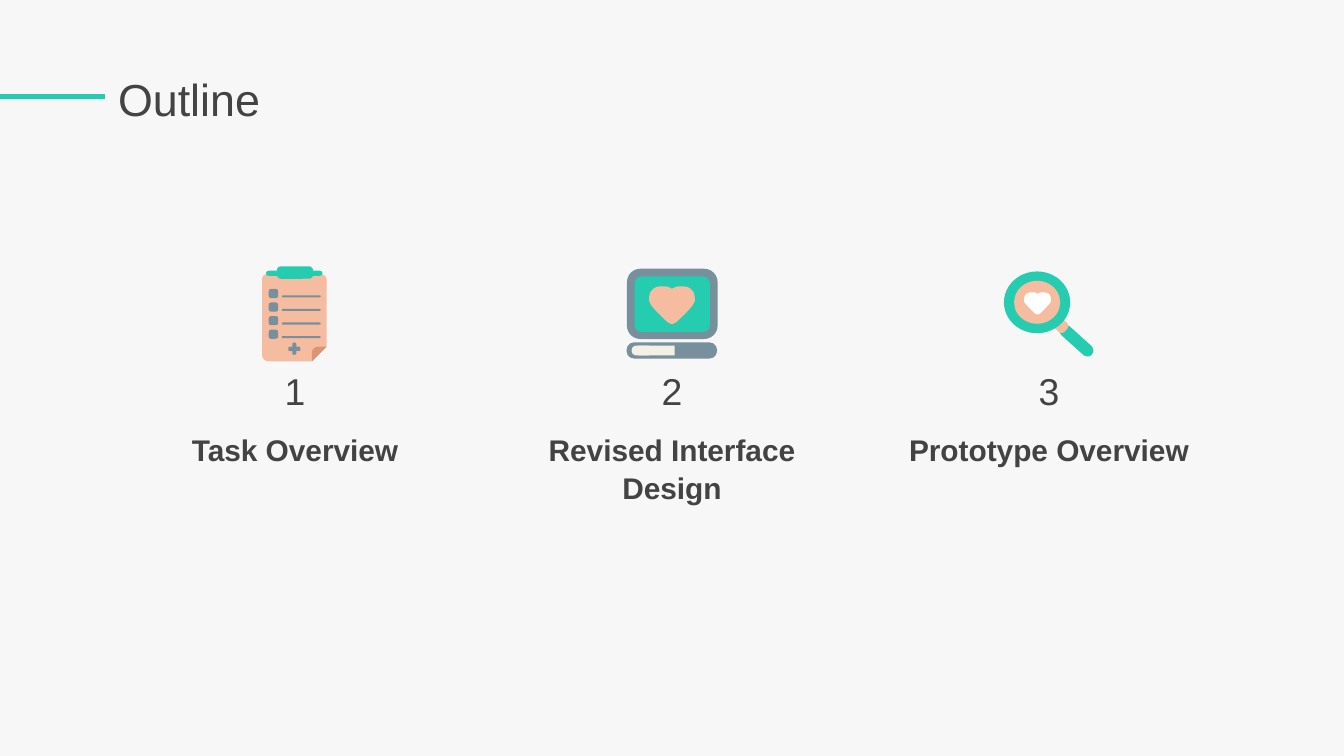
from functools import partial

from pptx import Presentation
from pptx.dml.color import RGBColor
from pptx.enum import shapes, text
from pptx.util import Inches, Pt

COLORS = {
    "background": "F7F7F7", "ink": "434343", "teal": "25CCB0", "slate": "78909C",
    "peach": "F6BC9F", "fold": "DC9571", "cream": "F4F0E5", "white": "FFFFFF",
}
FONT = "Arial"
KIND = shapes.MSO_SHAPE
COLUMN_LEFT, COLUMN_PITCH, COLUMN_WIDTH = 0.095, 0.2805, 0.249  # shares of width
ICON_UNITS = 70  # rows and columns of the square icon grid

# Right half of a heart in a unit box, as cubic Bezier segments from the notch
HEART_START = (0.5, 0.07)
HEART = [
    (0.56, 0.02, 0.62, 0, 0.7, 0),
    (0.85, 0, 0.9, 0.05, 0.94, 0.11),
    (1, 0.18, 1, 0.28, 1, 0.39),
    (0.97, 0.53, 0.8, 0.71, 0.68, 0.86),
    (0.6, 0.95, 0.56, 1, 0.5, 1),
]


def rgb(name):
    return RGBColor.from_string(COLORS[name])


def paint(sp, color):
    sp.shadow.inherit = False
    sp.fill.solid()
    sp.fill.fore_color.rgb = rgb(color)
    sp.line.fill.background()


def curve_points(start, segments, steps=8):
    """Flatten lines (2 numbers) and cubic Bezier segments (6 numbers)."""
    points = [start]
    for seg in segments:
        if len(seg) == 2:
            points.append(seg)
            continue
        (ax, ay), (bx, by, cx, cy, dx, dy) = points[-1], seg
        for i in range(1, steps + 1):
            t = i / steps
            w = ((1 - t) ** 3, 3 * t * (1 - t) ** 2, 3 * t * t * (1 - t), t ** 3)
            points.append((w[0] * ax + w[1] * bx + w[2] * cx + w[3] * dx,
                           w[0] * ay + w[1] * by + w[2] * cy + w[3] * dy))
    return points


class IconGrid:
    """A group drawn in the units of a square grid."""

    def __init__(self, slide, left, top, size):
        self.shapes = slide.shapes.add_group_shape().shapes
        self.left, self.top, self.unit = left, top, size / ICON_UNITS

    def point(self, x, y):
        return round(self.left + x * self.unit), round(self.top + y * self.unit)

    def preset(self, kind, x, y, w, h, color, radius=None, angle=0):
        sp = self.shapes.add_shape(kind, *self.point(x, y),
                                   round(w * self.unit), round(h * self.unit))
        if radius is not None:
            sp.adjustments[0] = radius / min(w, h)
        sp.rotation = angle
        paint(sp, color)

    def rounded(self, x, y, w, h, color, radius, angle=0):
        self.preset(KIND.ROUNDED_RECTANGLE, x, y, w, h, color, radius, angle)

    def outline(self, points, color):
        first, *rest = [self.point(*p) for p in points]
        builder = self.shapes.build_freeform(*first)
        builder.add_line_segments(rest, close=True)
        paint(builder.convert_to_shape(), color)

    def heart(self, x, y, w, h, color):
        half = curve_points(HEART_START, HEART)
        whole = half + [(1 - px, py) for px, py in reversed(half[1:-1])]
        self.outline([(x + px * w, y + py * h) for px, py in whole], color)


def clipboard_icon(grid):
    page = [(54, 6), (56.5, 6, 58.5, 8, 58.5, 10), (58.5, 60), (47.5, 71), (15.5, 71),
            (12.5, 71, 10.5, 68.5, 10.5, 66), (10.5, 10), (10.5, 8, 12, 6, 14, 6)]
    grid.outline(curve_points((14, 6), page), "peach")
    grid.outline(curve_points((47.5, 71), [(47.5, 65), (47.5, 62, 49.5, 60, 52.5, 60),
                                           (58.5, 60)]), "fold")
    grid.rounded(13.5, 3.5, 42, 3.8, "teal", 1.9)
    grid.rounded(21.5, 0.2, 27, 9.3, "teal", 3)
    for row in range(4):
        y = 17 + 10.1 * row
        grid.rounded(15.5, y, 7, 6.8, "slate", 1.7)
        grid.rounded(25.2, y + 4.8, 29, 1.5, "slate", 0.75)
    grid.rounded(30, 60, 9, 3.2, "slate", 1)
    grid.rounded(33, 57, 3, 9, "slate", 1)


def computer_icon(grid):
    grid.rounded(1.5, 2, 67.5, 52.3, "slate", 10)
    grid.rounded(7.2, 7.7, 56, 41.3, "teal", 5)
    grid.heart(18, 15, 34, 28, "peach")
    grid.rounded(1.2, 56.8, 67.3, 12, "slate", 5.5)
    grid.rounded(5, 59.2, 16, 7.3, "cream", 3.5)
    grid.preset(KIND.RECTANGLE, 10, 59.2, 27, 7.3, "cream")


def magnifier_icon(grid):
    grid.rounded(40, 51, 31, 9, "teal", 4.5, angle=42)
    grid.rounded(35.5, 38.5, 14, 9, "peach", 3, angle=42)
    grid.preset(KIND.OVAL, 1.5, 4, 49.3, 46, "teal")
    grid.preset(KIND.OVAL, 9, 11, 34.3, 32, "peach")
    grid.heart(16.5, 19.5, 20, 16.5, "white")


def add_text(slide, box, content, size, bold=False, align=text.PP_ALIGN.CENTER,
             anchor=text.MSO_ANCHOR.TOP):
    tf = slide.shapes.add_textbox(*map(round, box)).text_frame
    tf.word_wrap = True
    tf.vertical_anchor = anchor
    tf.margin_left = tf.margin_right = tf.margin_top = tf.margin_bottom = Inches(0.1)
    tf.text = content
    p = tf.paragraphs[0]
    p.alignment = align
    p.line_spacing = 1.05
    font = p.runs[0].font
    font.name, font.size, font.bold = FONT, Pt(size), bold
    font.color.rgb = rgb("ink")


def add_header(slide, left, top, width, height, title):
    """Accent bar from the slide's edge, then the title."""
    bar = 0.08 * width
    bar = round(0.078 * width)
    sp = slide.shapes.add_shape(KIND.RECTANGLE, left, round(top + 0.46 * height),
                                bar, round(0.06 * height))
    paint(sp, "teal")
    add_text(slide, (left + bar, top, 0.879 * width, height), title, 24,
             align=text.PP_ALIGN.LEFT)


def add_outline_item(slide, left, top, width, height, number, label, draw_icon):
    """Icon, number and label stacked in one column."""
    icon = 0.281 * width
    draw_icon(IconGrid(slide, left + (width - icon) / 2, top, icon))
    row = 0.385 * height
    add_text(slide, (left, top + 0.27 * height, width, row), str(number), 20,
             anchor=text.MSO_ANCHOR.BOTTOM)
    add_text(slide, (left, top + 0.615 * height, width, row), label, 16, bold=True)


def main():
    prs = Presentation()
    prs.slide_width = Inches(10)
    prs.slide_height = prs.slide_width * 9 // 16
    w, h = prs.slide_width, prs.slide_height
    slide = prs.slides.add_slide(prs.slide_layouts[6])
    slide.background.fill.solid()
    slide.background.fill.fore_color.rgb = rgb("background")

    add_header(slide, 0, round(0.073 * h), w, round(0.112 * h), "Outline")
    items = [("Task Overview", clipboard_icon),
             ("Revised Interface Design", computer_icon),
             ("Prototype Overview", magnifier_icon)]
    add_item = partial(add_outline_item, slide, top=0.352 * h,
                       width=COLUMN_WIDTH * w, height=0.324 * h)
    for i, (label, draw_icon) in enumerate(items):
        add_item(left=(COLUMN_LEFT + i * COLUMN_PITCH) * w, number=i + 1,
                 label=label, draw_icon=draw_icon)
    prs.save("out.pptx")


if __name__ == "__main__":
    main()
